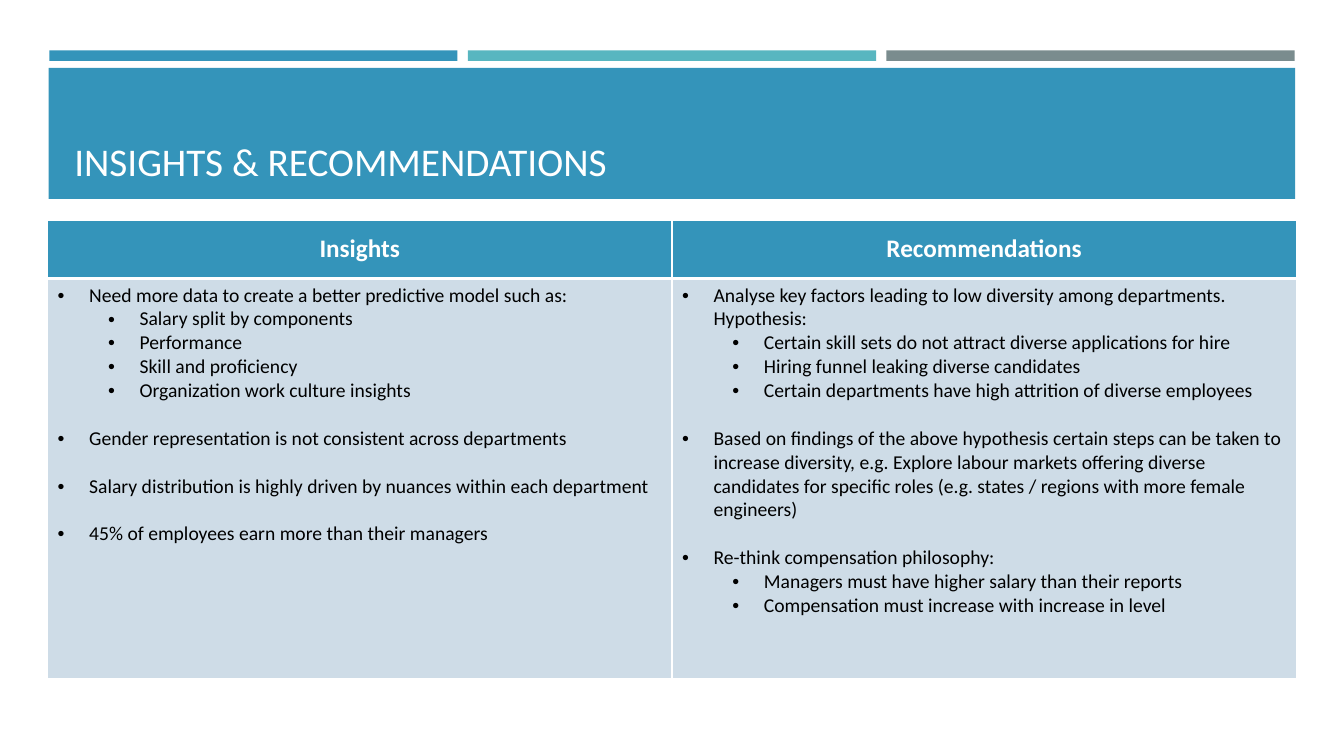
from lxml.etree import SubElement
from pptx import Presentation
from pptx.dml.color import RGBColor
from pptx.enum.shapes import MSO_SHAPE
from pptx.enum.text import MSO_ANCHOR as Anchor, PP_ALIGN as Align
from pptx.oxml.ns import qn
from pptx.util import Pt

BLUE = RGBColor(0x34, 0x94, 0xBA)
TEAL = RGBColor(0x58, 0xB6, 0xC0)
GRAY = RGBColor(0x7A, 0x8C, 0x8E)
PALE = RGBColor(0xCE, 0xDC, 0xE7)
WHITE = RGBColor(0xFF, 0xFF, 0xFF)
BLACK = RGBColor(0, 0, 0)

# Each column is a list of groups: a main point and its sub-points.
COLUMNS = {
    "Insights": [
        ("Need more data to create a better predictive model such as:", [
            "Salary split by components",
            "Performance",
            "Skill and proficiency",
            "Organization work culture insights",
        ]),
        ("Gender representation is not consistent across departments", []),
        ("Salary distribution is highly driven by nuances within each department", []),
        ("45% of employees earn more than their managers", []),
    ],
    "Recommendations": [
        ("Analyse key factors leading to low diversity among departments. Hypothesis:", [
            "Certain skill sets do not attract diverse applications for hire",
            "Hiring funnel leaking diverse candidates",
            "Certain departments have high attrition of diverse employees",
        ]),
        ("Based on findings of the above hypothesis certain steps can be taken to "
         "increase diversity, e.g. Explore labour markets offering diverse candidates "
         "for specific roles (e.g. states / regions with more female engineers)", []),
        ("Re-think compensation philosophy:", [
            "Managers must have higher salary than their reports",
            "Compensation must increase with increase in level",
        ]),
    ],
}


def write(p, text, *, size=14, color=BLACK, bold=False, align=Align.LEFT,
          level=None, before=0):
    """Fill a paragraph; a level of 0 or 1 makes it a bullet."""
    p.alignment = align
    p.space_before = Pt(before)
    r = p.add_run()
    r.text = text
    r.font.name = "Calibri"
    r.font.size = Pt(size)
    r.font.bold = bold
    r.font.color.rgb = color
    if level is not None:
        p.level = level
        pPr = p._p.get_or_add_pPr()
        pPr.set("marL", str(Pt(22.5 + 36 * level)))
        pPr.set("indent", str(Pt(-22.5)))
        SubElement(pPr, qn("a:buFont"), typeface="Arial")
        SubElement(pPr, qn("a:buChar"), char="•")


class SlideBuilder:
    def __init__(self, slide):
        self.s = slide
        self.line_color = WHITE

    def bar(self, x, y, w, h, color):
        sp = self.s.shapes.add_shape(MSO_SHAPE.RECTANGLE, Pt(x), Pt(y), Pt(w), Pt(h))
        sp.shadow.inherit = False
        sp.fill.solid()
        sp.fill.fore_color.rgb = color
        sp.line.fill.background()

    def title(self, text, x, y, w, h):
        tf = self.s.shapes.add_textbox(Pt(x), Pt(y), Pt(w), Pt(h)).text_frame
        tf.word_wrap = True
        tf.vertical_anchor = Anchor.BOTTOM
        write(tf.paragraphs[0], text, size=28, color=WHITE)

    def style_cell(self, cell, fill, **widths):
        """Set border widths (L, R, T, B) and the fill of a cell."""
        tcPr = cell._tc.get_or_add_tcPr()
        for side, width in widths.items():
            ln = SubElement(tcPr, qn(f"a:ln{side}"), w=str(Pt(width)))
            solid = SubElement(ln, qn("a:solidFill"))
            SubElement(solid, qn("a:srgbClr"), val=str(self.line_color))
        cell.fill.solid()
        cell.fill.fore_color.rgb = fill

    def bullets(self, tf, groups, gap):
        p = tf.paragraphs[0]
        for i, (point, subpoints) in enumerate(groups):
            if i:
                p = tf.add_paragraph()
            write(p, point, level=0, before=gap if i else 0)
            for subpoint in subpoints:
                write(tf.add_paragraph(), subpoint, level=1)

    def table(self, columns, x, y, w, row_heights):
        frame = self.s.shapes.add_table(len(row_heights), len(columns), Pt(x), Pt(y),
                                        Pt(w), Pt(sum(row_heights)))
        tbl = frame.table
        tbl.horz_banding = False
        for row, height in zip(tbl.rows, row_heights):
            row.height = Pt(height)
        for i, (heading, groups) in enumerate(columns.items()):
            tbl.columns[i].width = Pt(w / len(columns))
            head, body = tbl.cell(0, i), tbl.cell(1, i)
            self.style_cell(head, BLUE, L=1, R=1, T=1, B=3)
            self.style_cell(body, PALE, L=1, R=1, T=3, B=1)
            head.vertical_anchor = Anchor.MIDDLE
            write(head.text_frame.paragraphs[0], heading, size=18, color=WHITE,
                  bold=True, align=Align.CENTER)
            self.bullets(body.text_frame, groups, gap=17.1)


def main():
    prs = Presentation()
    prs.slide_width, prs.slide_height = Pt(960), Pt(540)
    b = SlideBuilder(prs.slides.add_slide(prs.slide_layouts[6]))
    for i, color in enumerate((BLUE, TEAL, GRAY)):
        b.bar(35.2 + i * 299, 36, 291.6, 7.5, color)
    b.bar(34.8, 48.5, 890.4, 93.6, BLUE)
    b.title("INSIGHTS & RECOMMENDATIONS", 46, 55.4, 868.3, 80)
    b.table(COLUMNS, 34, 157.3, 892, (41.6, 285.6))
    prs.save("out.pptx")


if __name__ == "__main__":
    main()
